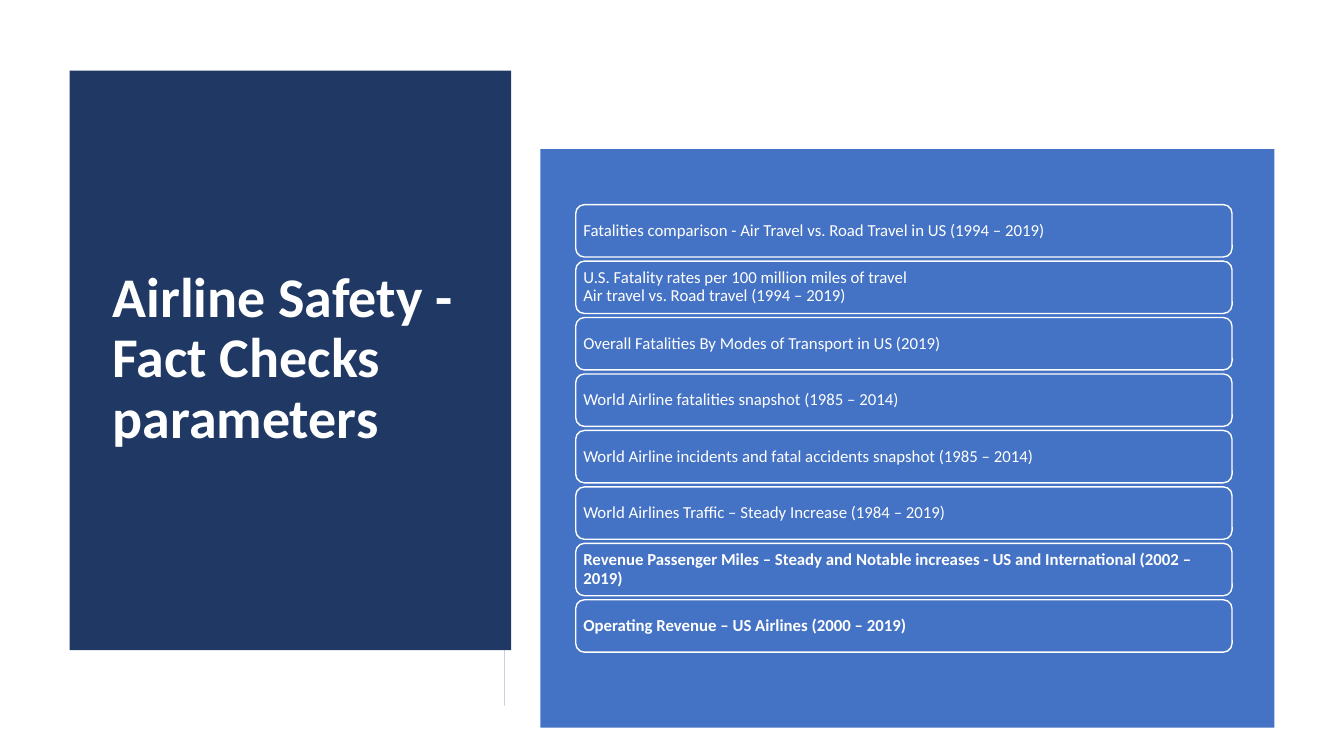
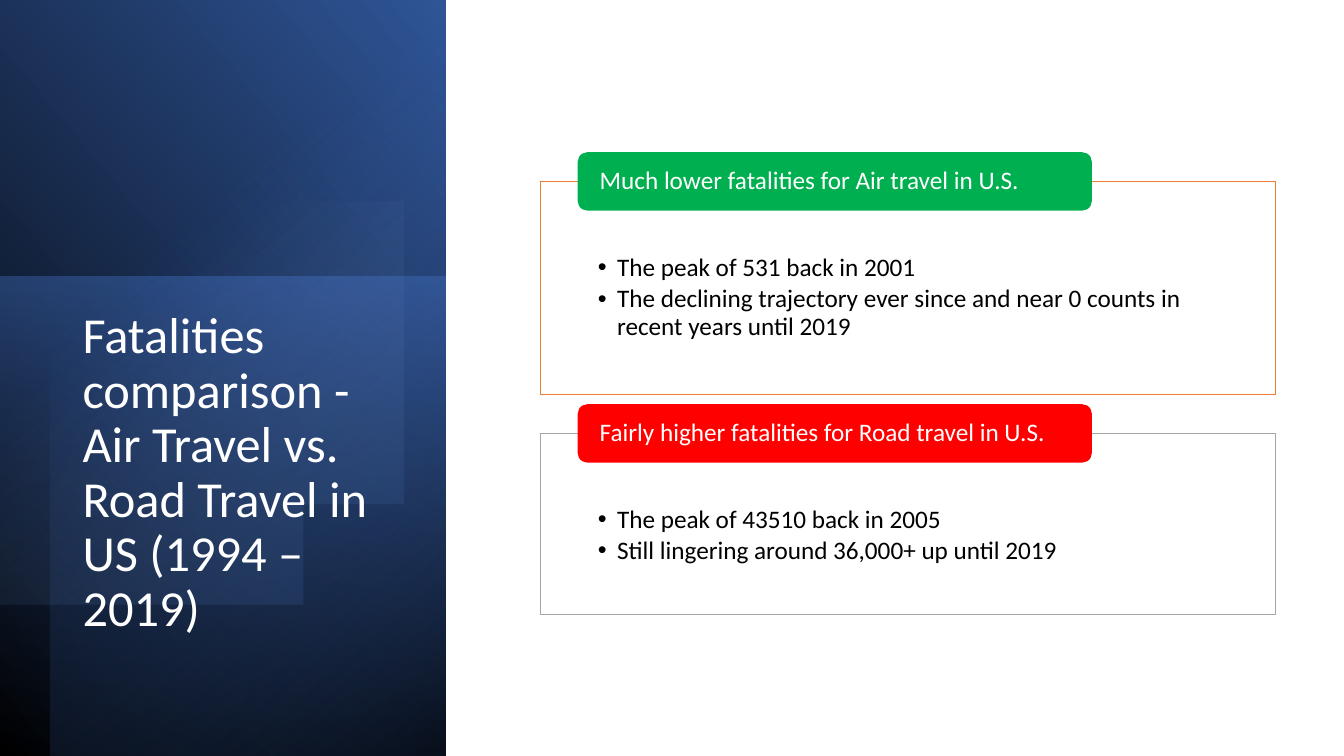
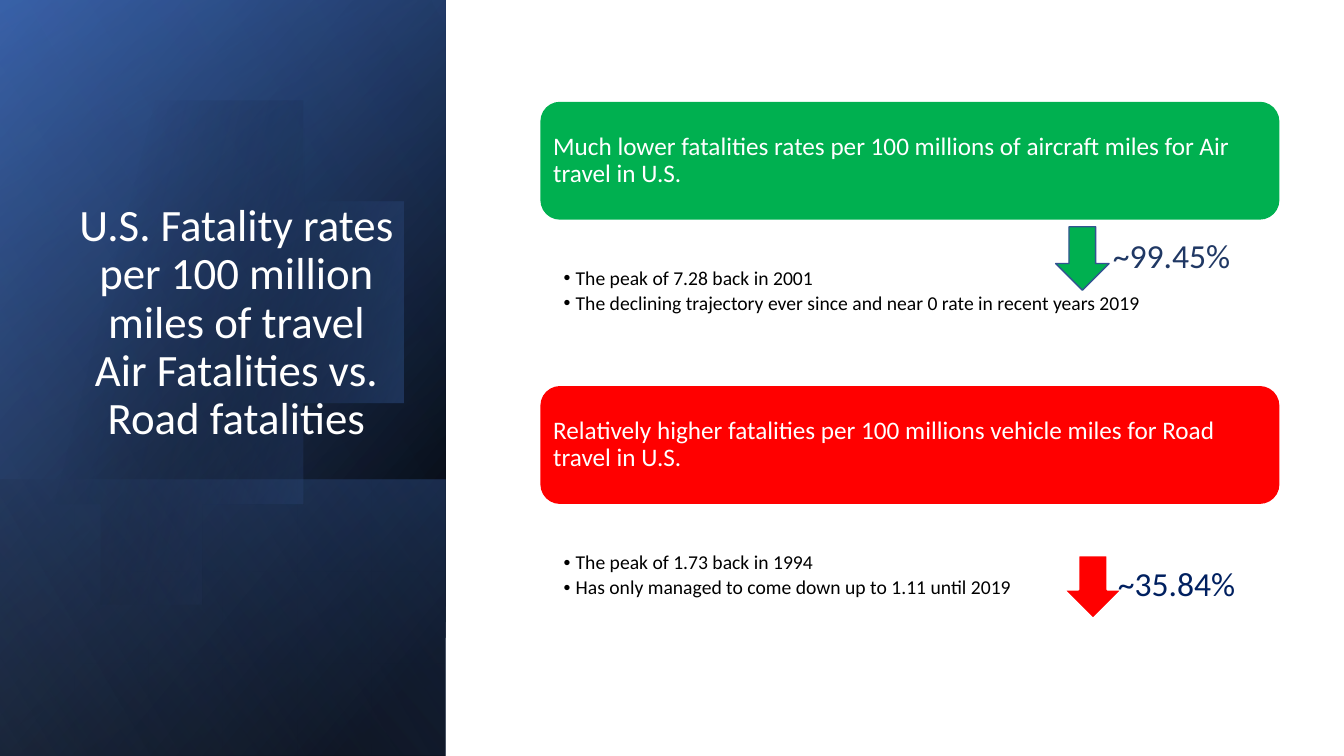
import math
from lxml import etree
from pptx import Presentation
from pptx import util as u
from pptx.dml import color
from pptx.enum import shapes, text
from pptx.oxml import ns

In = u.Inches
NAVY, DEEP, BLUE, PALE = "203864", "2F5597", "4472C4", "8FAADC"
GREEN, RED, WHITE, BLACK = "00B050", "FF0000", "FFFFFF", "000000"
FONT = "Calibri"
LEFT, CENTER = text.PP_ALIGN.LEFT, text.PP_ALIGN.CENTER
TOP, MIDDLE, BOTTOM = text.MSO_ANCHOR.TOP, text.MSO_ANCHOR.MIDDLE, text.MSO_ANCHOR.BOTTOM
RECT = shapes.MSO_SHAPE.RECTANGLE
ROUND = shapes.MSO_SHAPE.ROUNDED_RECTANGLE
ARROW = shapes.MSO_SHAPE.DOWN_ARROW


def paint(shape, fill, line=None, width=1):
    shape.shadow.inherit = False
    if isinstance(fill, str):
        shape.fill.solid()
        shape.fill.fore_color.rgb = color.RGBColor.from_string(fill)
    else:
        angle, *stops = fill
        shape.fill.gradient()
        shape.fill.gradient_angle = 360 - angle
        for stop, (position, tone, _) in zip(shape.fill.gradient_stops, stops):
            stop.position = position / 100
            stop.color.rgb = color.RGBColor.from_string(tone)
        tones = shape._element.spPr.iter(ns.qn("a:srgbClr"))
        for tone, (_, _, opacity) in zip(tones, stops):
            etree.SubElement(tone, ns.qn("a:alpha"), val=str(opacity * 1000))
    if line:
        shape.line.color.rgb = color.RGBColor.from_string(line)
        shape.line.width = u.Pt(width)
    else:
        shape.line.fill.background()


def write(shape, lines, size, tone=WHITE, bold=False, anchor=MIDDLE, align=LEFT,
          margins=(0.1, 0.05, 0.1, 0.05), hang=0, spacing=0.9):
    frame = shape.text_frame
    frame.word_wrap = True
    frame.vertical_anchor = anchor
    frame.margin_left, frame.margin_top, frame.margin_right, frame.margin_bottom = map(In, margins)
    for index, line in enumerate(lines):
        paragraph = frame.add_paragraph() if index else frame.paragraphs[0]
        paragraph.text = line
        paragraph.alignment = align
        paragraph.line_spacing = spacing
        if hang:
            paragraph.space_after = u.Pt(2.8)
            props = paragraph._p.get_or_add_pPr()
            props.set("marL", str(In(hang)))
            props.set("indent", str(-In(hang)))
            etree.SubElement(props, ns.qn("a:buFont"), typeface="Arial")
            etree.SubElement(props, ns.qn("a:buChar"), char="•")
        for run in paragraph.runs:
            run.font.name = FONT
            run.font.size = u.Pt(size)
            run.font.bold = bold
            run.font.color.rgb = color.RGBColor.from_string(tone)


deck = Presentation()
deck.slide_width, deck.slide_height = In(13.33), In(7.5)
overview, fatalities, rates = [deck.slides.add_slide(deck.slide_layouts[6]) for _ in range(3)]

folds = [
    (DEEP, [(5.36, 7.23), (4.53, 6.72), (4.53, 0.99), (5.36, 1.5)]),
    (NAVY, [(5.06, 6.44), (4.53, 6.73), (4.53, 0.98), (5.06, 0.69)]),
]
for tone, corners in folds:
    outline = overview.shapes.build_freeform(*corners[0], scale=In(1))
    outline.add_line_segments(corners[1:])
    paint(outline.convert_to_shape(), tone)
for tone, box in [(NAVY, (0.69, 0.7, 4.38, 5.75)), (BLUE, (5.36, 1.48, 7.28, 5.74))]:
    paint(overview.shapes.add_shape(RECT, *map(In, box)), tone)

parameters = [
    "Fatalities comparison - Air Travel vs. Road Travel in US (1994 – 2019)",
    "U.S. Fatality rates per 100 million miles of travel\nAir travel vs. Road travel (1994 – 2019)",
    "Overall Fatalities By Modes of Transport in US (2019)",
    "World Airline fatalities snapshot (1985 – 2014)",
    "World Airline incidents and fatal accidents snapshot (1985 – 2014)",
    "World Airlines Traffic – Steady Increase (1984 – 2019)",
    "Revenue Passenger Miles – Steady and Notable increases - US and International (2002 – 2019)",
    "Operating Revenue – US Airlines (2000 – 2019)",
]
for row, parameter in enumerate(parameters):
    entry = overview.shapes.add_shape(ROUND, In(5.71), In(2.03 + 0.56 * row), In(6.51), In(0.52))
    paint(entry, BLUE, WHITE)
    write(entry, [parameter], 12, bold=row >= 6, margins=(0.05,) * 4)

panel = (0, 0, 4.42, 7.5)
backdrops = [
    (fatalities, panel, (320, (0, BLACK, 100), (100, DEEP, 100))),
    (fatalities, (0, 2.74, 4.42, 4.76), (100, (0, BLUE, 50), (100, NAVY, 0))),
    (fatalities, (0.5, 0, 3.92, 7.5), (230, (0, BLACK, 59), (69, BLUE, 0))),
    (fatalities, (1.43, 3.47, 2.63), (52, (39, PALE, 0), (100, DEEP, 26))),
    (rates, panel, (220, (8, BLACK, 100), (100, DEEP, 100))),
    (rates, panel, (240, (0, BLACK, 0), (99, BLUE, 46))),
    (rates, (0, 4.76, 4.42, 2.74), (140, (2, BLUE, 29), (100, BLACK, 30))),
    (rates, (1.43, 3.4, 2.29), (14, (29, BLACK, 0), (100, BLUE, 43))),
    (rates, panel, (150, (0, BLACK, 0), (99, PALE, 11))),
]
for slide, area, gradient in backdrops:
    if len(area) == 4:
        layer = slide.shapes.add_shape(RECT, *map(In, area))
    else:
        x, y, radius = area
        reach = math.acos(-x / radius)
        turns = [reach * (step / 60 - 1) for step in range(121)]
        rim = [(x + radius * math.cos(turn), y + radius * math.sin(turn)) for turn in turns]
        outline = slide.shapes.build_freeform(*rim[0], scale=In(1))
        outline.add_line_segments(rim[1:])
        layer = outline.convert_to_shape()
    paint(layer, gradient)

titles = [
    (overview, (1.02, 1.07, 3.71, 4.99), "Airline Safety - Fact Checks parameters", 40, True, MIDDLE, LEFT),
    (fatalities, (0.72, 3.03, 3.15, 3.36),
     "Fatalities comparison - Air Travel vs. Road Travel in US (1994 – 2019)", 36, False, TOP, LEFT),
    (rates, (0.64, 1.84, 3.41, 2.62),
     "U.S. Fatality rates per 100 million miles of travel\nAir Fatalities vs. Road fatalities",
     32, False, BOTTOM, CENTER),
]
for slide, box, title, size, bold, anchor, align in titles:
    write(slide.shapes.add_textbox(*map(In, box)), [title], size, WHITE, bold, anchor, align)

comparisons = [
    (1.8, 2.11, "ED7D31", GREEN, "Much lower fatalities for Air travel in U.S.",
     ["The peak of 531 back in 2001",
      "The declining trajectory ever since and near 0 counts in recent years until 2019"]),
    (4.3, 1.8, "A5A5A5", RED, "Fairly higher fatalities for Road travel in U.S.",
     ["The peak of 43510 back in 2005", "Still lingering around 36,000+ up until 2019"]),
]
for top, height, border, tone, heading, facts in comparisons:
    card = fatalities.shapes.add_shape(RECT, In(5.36), In(top), In(7.29), In(height))
    paint(card, WHITE, border, 0.5)
    write(card, facts, 18, BLACK, anchor=TOP, margins=(0.57, 0.73, 0.57, 0.14), hang=0.19)
    tab = fatalities.shapes.add_shape(ROUND, In(5.73), In(top - 0.29), In(5.1), In(0.58))
    paint(tab, tone)
    write(tab, [heading], 18, margins=(0.19, 0, 0.19, 0))

declines = [
    (1.01, GREEN, "Much lower fatalities rates per 100 millions of aircraft miles for Air travel in U.S.",
     ["The peak of 7.28 back in 2001",
      "The declining trajectory ever since and near 0 rate in recent years 2019"],
     (10.47, 2.25, 0.53, 0.63), "325491", 1, "~99.45%", (10.94, 2.28), NAVY),
    (3.83, RED, "Relatively higher fatalities per 100 millions vehicle miles for Road travel in U.S.",
     ["The peak of 1.73 back in 1994", "Has only managed to come down up to 1.11 until 2019"],
     (10.55, 5.51, 0.58, 0.63), WHITE, 1.5, "~35.84%", (10.99, 5.53), "002060"),
]
for top, tone, heading, facts, arrow_box, edge, weight, drop, drop_at, drop_tone in declines:
    banner = rates.shapes.add_shape(ROUND, In(5.36), In(top), In(7.33), In(1.17))
    paint(banner, tone)
    write(banner, [heading], 18, margins=(0.07,) * 4)
    details = rates.shapes.add_textbox(In(5.36), In(top + 1.17), In(7.33), In(1.6))
    write(details, facts, 14, BLACK, anchor=TOP, margins=(0.23, 0.54, 0.14, 0.03), hang=0.12)
    arrow = rates.shapes.add_shape(ARROW, *map(In, arrow_box))
    paint(arrow, tone, edge, weight)
    share = rates.shapes.add_textbox(*map(In, drop_at), In(1.5), In(0.5))
    write(share, [drop], 24, drop_tone, spacing=1)

deck.save("out.pptx")
